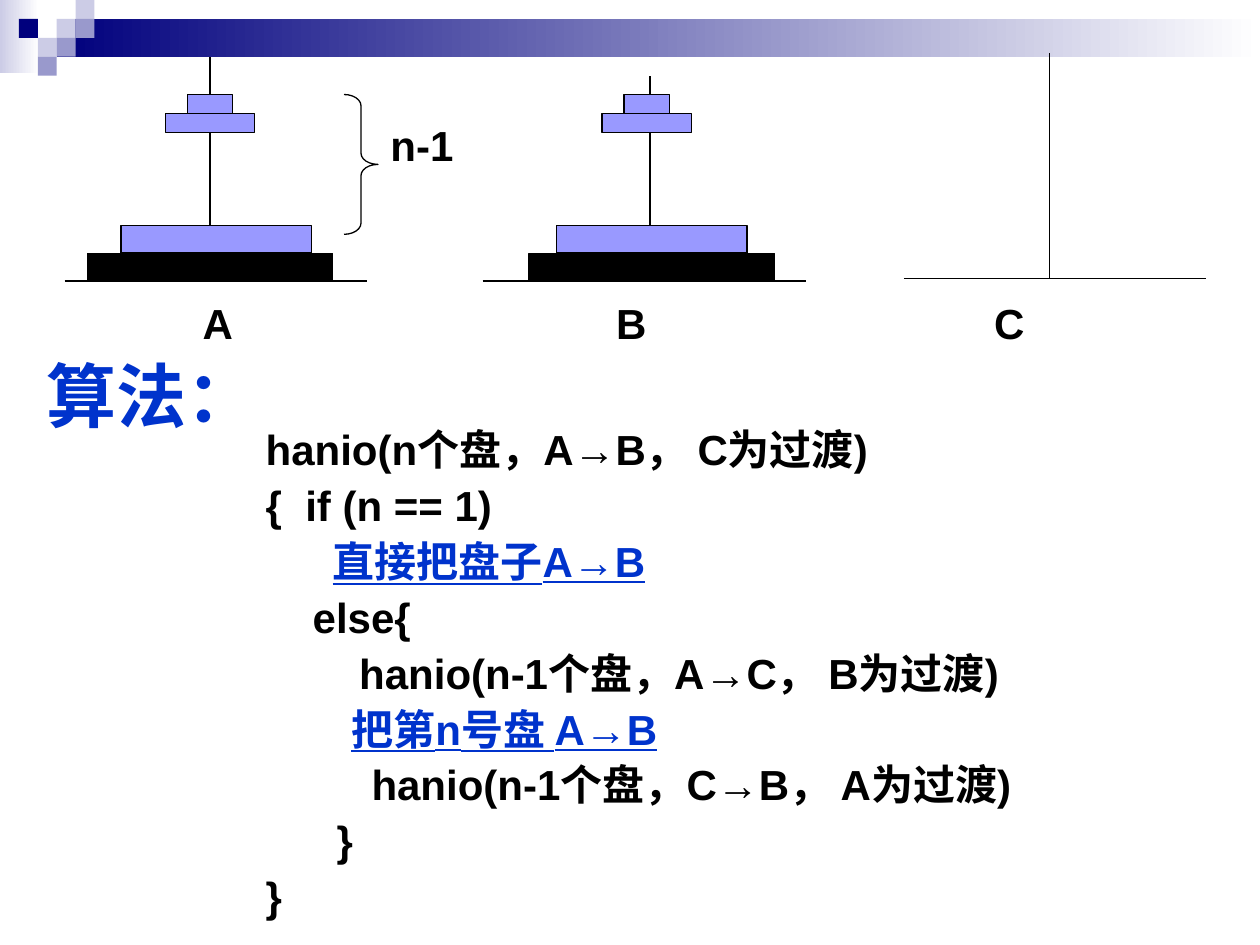
from dataclasses import dataclass

from lxml import etree
from pptx import Presentation
from pptx.dml.color import RGBColor
from pptx.enum.shapes import MSO_CONNECTOR, MSO_SHAPE
from pptx.enum.text import MSO_ANCHOR, PP_ALIGN
from pptx.oxml.ns import qn
from pptx.util import Pt

RECTANGLE = MSO_SHAPE.RECTANGLE
RIGHT_BRACE = MSO_SHAPE.RIGHT_BRACE
STRAIGHT = MSO_CONNECTOR.STRAIGHT
MIDDLE = MSO_ANCHOR.MIDDLE
TOP = MSO_ANCHOR.TOP
LEFT = PP_ALIGN.LEFT
JUSTIFY = PP_ALIGN.JUSTIFY


@dataclass(frozen=True)
class Theme:
    font: str = "Arial"
    title_size: float = 40
    text_size: float = 24
    line_width: float = 0.75
    black: RGBColor = RGBColor(0x00, 0x00, 0x00)
    white: RGBColor = RGBColor(0xFF, 0xFF, 0xFF)
    blue: RGBColor = RGBColor(0x00, 0x33, 0xCC)
    disk: RGBColor = RGBColor(0x99, 0x99, 0xFF)
    navy: RGBColor = RGBColor(0x00, 0x00, 0x7D)
    lilac: RGBColor = RGBColor(0xCC, 0xCC, 0xE6)
    violet: RGBColor = RGBColor(0x99, 0x99, 0xCC)


@dataclass(frozen=True)
class Box:
    left: float
    top: float
    width: float
    height: float

    def points(self):
        return Pt(self.left), Pt(self.top), Pt(self.width), Pt(self.height)


THEME = Theme()


def add_block(slide, box, color=None, outlined=False, kind=RECTANGLE):
    shape = slide.shapes.add_shape(kind, *box.points())
    shape.shadow.inherit = False
    if color is None:
        shape.fill.background()
    else:
        shape.fill.solid()
        shape.fill.fore_color.rgb = color
    if outlined:
        shape.line.color.rgb = THEME.black
        shape.line.width = Pt(THEME.line_width)
    else:
        shape.line.fill.background()
    return shape


def add_fade(slide, box, color):
    shape = add_block(slide, box, color)
    shape.fill.gradient()
    shape.fill.gradient_angle = 0
    for stop, stop_color in zip(shape.fill.gradient_stops, (color, THEME.white)):
        stop.color.rgb = stop_color


def add_line(slide, start_x, start_y, end_x, end_y):
    line = slide.shapes.add_connector(
        STRAIGHT, Pt(start_x), Pt(start_y), Pt(end_x), Pt(end_y))
    line.line.color.rgb = THEME.black
    line.line.width = Pt(THEME.line_width)
    etree.SubElement(line._element.spPr, qn("a:effectLst"))


def add_text_frame(slide, box, anchor=TOP):
    frame = slide.shapes.add_textbox(*box.points()).text_frame
    frame.word_wrap = True
    frame.vertical_anchor = anchor
    return frame


def add_run(paragraph, text, size=THEME.text_size, color=THEME.black, underline=False):
    run = paragraph.add_run()
    run.text = text
    run.font.name = THEME.font
    run.font.size = Pt(size)
    run.font.bold = True
    run.font.underline = underline
    run.font.color.rgb = color


def add_header(slide, box):
    cell = 10.8
    add_fade(slide, Box(box.left, box.top, 22.3, 41.8), THEME.lilac)
    add_fade(slide, Box(box.left + 3 * cell, box.top + cell,
                        box.width - 3 * cell, 2 * cell), THEME.navy)
    squares = [(2, 1, THEME.lilac), (3, 0, THEME.lilac), (3, 1, THEME.violet),
               (1, 2, THEME.lilac), (0, 1, THEME.navy), (2, 2, THEME.violet),
               (1, 3, THEME.violet)]
    for column, row, color in squares:
        add_block(slide, Box(box.left + (column + 1) * cell,
                             box.top + row * cell, cell, cell), color)


def add_tower(slide, box, pole_offset, disk_shifts=()):
    pole = box.left + pole_offset
    bottom = box.top + box.height
    add_line(slide, box.left, bottom, box.left + box.width, bottom)
    add_line(slide, pole, bottom, pole, box.top)
    disks = [(140.4, 15.8, 15.8, THEME.black), (108.7, 31.7, 15.8, THEME.disk),
             (51.1, 95.8, 10.8, THEME.disk), (25.9, 106.6, 10.8, THEME.disk)]
    for (width, rise, height, color), shift in zip(disks, disk_shifts):
        disk_box = Box(pole + shift - width / 2, bottom - rise, width, height)
        add_block(slide, disk_box, color, outlined=True)


def add_brace(slide, box):
    brace = add_block(slide, Box(box.left, box.top, 19.4, box.height),
                      outlined=True, kind=RIGHT_BRACE)
    brace.adjustments[0] = 0.33
    frame = add_text_frame(slide, Box(box.left + 19.4, box.top + 10.8,
                                      box.width - 19.4, 36))
    paragraph = frame.paragraphs[0]
    paragraph.space_before = Pt(15)
    add_run(paragraph, "n-1")


def add_tower_names(slide, box):
    paragraph = add_text_frame(slide, box).paragraphs[0]
    paragraph.space_before = Pt(15)
    properties = paragraph._p.get_or_add_pPr()
    tabs = etree.SubElement(properties, qn("a:tabLst"))
    for position in (39.6, 275.8, 491.8):
        etree.SubElement(tabs, qn("a:tab"), pos=str(Pt(position)), algn="l")
    add_run(paragraph, "\tA\tB\tC")


def add_title(slide, box):
    paragraph = add_text_frame(slide, box, MIDDLE).paragraphs[0]
    paragraph.alignment = LEFT
    add_run(paragraph, "算法：", THEME.title_size, THEME.blue)


def add_algorithm(slide, box):
    code = [(0, "hanio(n个盘，A→B， C为过渡)", False),
            (0, "{  if (n == 1)", False),
            (38.3, "直接把盘子A→B", True),
            (26.9, "else{", False),
            (53.5, "hanio(n-1个盘，A→C， B为过渡)", False),
            (49, "把第n号盘 A→B", True),
            (60.5, "hanio(n-1个盘，C→B， A为过渡)", False),
            (40.5, "}", False),
            (0, "}", False)]
    frame = add_text_frame(slide, box)
    for index, (indent, text, is_move) in enumerate(code):
        paragraph = frame.add_paragraph() if index else frame.paragraphs[0]
        paragraph.alignment = JUSTIFY
        paragraph.line_spacing = 0.9
        paragraph.space_before = Pt(6)
        paragraph._p.get_or_add_pPr().set("marL", str(Pt(indent)))
        add_run(paragraph, text, color=THEME.blue if is_move else THEME.black,
                underline=is_move)


def main():
    presentation = Presentation()
    presentation.slide_width = Pt(720)
    presentation.slide_height = Pt(540)
    slide = presentation.slides.add_slide(presentation.slide_layouts[6])
    add_header(slide, Box(0, 0, 720, 43.2))
    add_title(slide, Box(19.4, 192.2, 113.8, 66.2))
    add_algorithm(slide, Box(144.7, 241.9, 539.3, 292.3))
    add_tower(slide, Box(36.9, 32.4, 172.8, 128.2), 83.1, (0, 3.5, 0, 0))
    add_tower(slide, Box(275.8, 43.2, 185, 117.4), 95.7, (1, 1, -2, -2))
    add_tower(slide, Box(516.5, 30.5, 172.8, 128.5), 83.1)
    add_brace(slide, Box(196.6, 54, 70.5, 79.9))
    add_tower_names(slide, Box(69.1, 166.3, 581.8, 36))
    presentation.save("out.pptx")


if __name__ == "__main__":
    main()
